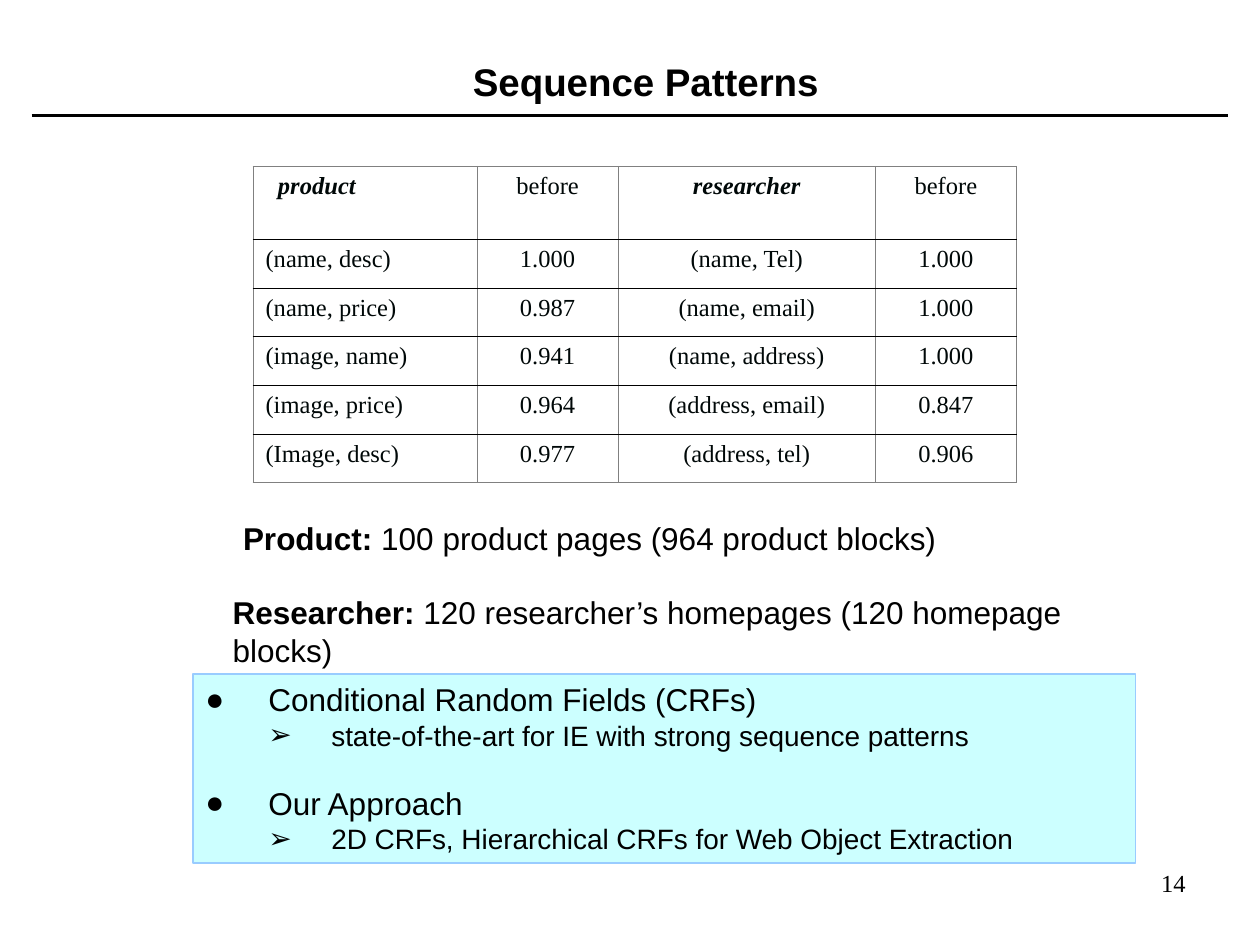
from dataclasses import dataclass
from typing import Optional

from lxml.etree import SubElement
from pptx import Presentation
from pptx.dml.color import RGBColor as Color
from pptx.enum.shapes import MSO_CONNECTOR as Connector, MSO_SHAPE as Preset
from pptx.enum.text import MSO_ANCHOR as Anchor, PP_ALIGN as Align
from pptx.oxml.ns import qn
from pptx.util import Cm, Pt


@dataclass(frozen=True)
class Theme:
    sans: str = "Arial"
    serif: str = "Times New Roman"
    black: str = "000000"
    table_ink: str = "000808"
    grid: str = "808080"
    panel: str = "CCFFFF"
    panel_edge: str = "99CCFF"
    title_size: float = 22
    body_size: float = 18
    detail_size: float = 16
    small_size: float = 14


@dataclass(frozen=True)
class Box:
    left: float
    top: float
    width: float
    height: float

    def lengths(self) -> tuple:
        return Cm(self.left), Cm(self.top), Cm(self.width), Cm(self.height)


@dataclass(frozen=True)
class Note:
    label: str
    detail: str
    box: Box


@dataclass(frozen=True)
class Topic:
    heading: str
    detail: str
    space_before: float = 0


THEME = Theme()
COLUMN_WIDTHS = (4.52, 2.84, 5.19, 2.84)
HEADER_HEIGHT, ROW_HEIGHT = 1.47, 0.98
TABLE_BOX = Box(5.1, 3.36, sum(COLUMN_WIDTHS), HEADER_HEIGHT + 5 * ROW_HEIGHT)
TABLE_ROWS = (
    ("product", "before", "researcher", "before"),
    ("(name, desc)", "1.000", "(name, Tel)", "1.000"),
    ("(name, price)", "0.987", "(name, email)", "1.000"),
    ("(image, name)", "0.941", "(name, address)", "1.000"),
    ("(image, price)", "0.964", "(address, email)", "0.847"),
    ("(Image, desc)", "0.977", "(address, tel)", "0.906"),
)
NOTES = (
    Note("Product:", " 100 product pages (964 product blocks)", Box(4.65, 10.34, 14.6, 1.02)),
    Note("Researcher:", " 120 researcher’s homepages (120 homepage blocks)",
         Box(4.44, 11.84, 19.2, 1.02)),
)
TOPICS = (
    Topic("Conditional Random Fields (CRFs)",
          "state-of-the-art for IE with strong sequence patterns"),
    Topic("Our Approach", "2D CRFs, Hierarchical CRFs for Web Object Extraction", 18.4),
)


def add_text(paragraph, text: str, *, size: float, font: str = THEME.sans,
             color: str = THEME.black, bold: bool = False, italic: bool = False,
             align: Align = Align.LEFT) -> None:
    paragraph.alignment = align
    run = paragraph.add_run()
    run.text = text
    run.font.name = font
    run.font.size = Pt(size)
    run.font.bold = bold
    run.font.italic = italic
    run.font.color.rgb = Color.from_string(color)


def set_indent(paragraph, margin: float, first_line: float = 0) -> None:
    properties = paragraph._p.get_or_add_pPr()
    properties.set("marL", str(Cm(margin)))
    properties.set("indent", str(Cm(first_line)))


def add_bullet(paragraph, symbol: str, level: int) -> None:
    paragraph.level = level
    set_indent(paragraph, 1.27 * (level + 1), -1.27)
    properties = paragraph._p.get_or_add_pPr()
    bullet_color = SubElement(properties, qn("a:buClr"))
    SubElement(bullet_color, qn("a:srgbClr"), val=THEME.black)
    SubElement(properties, qn("a:buFont"), typeface=THEME.sans)
    SubElement(properties, qn("a:buChar"), char=symbol)


def add_text_box(slide, box: Box, anchor: Anchor = Anchor.TOP):
    frame = slide.shapes.add_textbox(*box.lengths()).text_frame
    frame.word_wrap = True
    frame.vertical_anchor = anchor
    return frame.paragraphs[0]


def add_rule(slide, left: float, right: float, top: float) -> None:
    rule = slide.shapes.add_connector(Connector.STRAIGHT, Cm(left), Cm(top), Cm(right), Cm(top))
    rule.line.color.rgb = Color.from_string(THEME.black)
    rule.line.width = Pt(1.5)
    SubElement(rule._element.spPr, qn("a:effectLst"))


def add_border(cell, side: str, color: str, width: float) -> None:
    border = SubElement(cell._tc.get_or_add_tcPr(), qn(f"a:ln{side}"), w=str(Pt(width)))
    fill = SubElement(border, qn("a:solidFill"))
    SubElement(fill, qn("a:srgbClr"), val=color)


def add_pattern_table(slide) -> None:
    last_row = len(TABLE_ROWS) - 1
    table = slide.shapes.add_table(len(TABLE_ROWS), len(COLUMN_WIDTHS), *TABLE_BOX.lengths()).table
    table.first_row = table.horz_banding = False
    for column, width in zip(table.columns, COLUMN_WIDTHS):
        column.width = Cm(width)
    outer, inner = (THEME.grid, 0.96), (THEME.black, 0.45)
    for row_index, values in enumerate(TABLE_ROWS):
        is_header = row_index == 0
        table.rows[row_index].height = Cm(HEADER_HEIGHT if is_header else ROW_HEIGHT)
        for column_index, value in enumerate(values):
            cell = table.cell(row_index, column_index)
            is_name = is_header and column_index % 2 == 0
            paragraph = cell.text_frame.paragraphs[0]
            add_text(paragraph, value, size=THEME.small_size, font=THEME.serif,
                     color=THEME.table_ink, bold=is_name, italic=is_name,
                     align=Align.CENTER if column_index else Align.LEFT)
            if is_header and column_index == 0:
                set_indent(paragraph, 0.25)
            add_border(cell, "L", THEME.grid, 0.45)
            add_border(cell, "R", THEME.grid, 0.45)
            add_border(cell, "T", *(outer if is_header else inner))
            add_border(cell, "B", *(outer if row_index == last_row else inner))
            cell.fill.background()


def add_topic_panel(slide, box: Box) -> None:
    panel = slide.shapes.add_shape(Preset.RECTANGLE, *box.lengths())
    panel.shadow.inherit = False
    panel.fill.solid()
    panel.fill.fore_color.rgb = Color.from_string(THEME.panel)
    panel.line.color.rgb = Color.from_string(THEME.panel_edge)
    panel.line.width = Pt(0.75)
    frame = panel.text_frame
    frame.word_wrap = True
    frame.vertical_anchor = Anchor.TOP
    paragraph: Optional[object] = frame.paragraphs[0]
    for topic in TOPICS:
        heading = paragraph or frame.add_paragraph()
        paragraph = None
        if topic.space_before:
            heading.space_before = Pt(topic.space_before)
        add_bullet(heading, "●", 0)
        add_text(heading, topic.heading, size=THEME.body_size)
        detail = frame.add_paragraph()
        add_bullet(detail, "➢", 1)
        add_text(detail, topic.detail, size=THEME.detail_size)


def main() -> None:
    presentation = Presentation()
    presentation.slide_width, presentation.slide_height = Cm(25.4), Cm(19.05)
    slide = presentation.slides.add_slide(presentation.slide_layouts[6])
    add_rule(slide, 0.64, 24.76, 2.33)
    title = add_text_box(slide, Box(1.27, 0.43, 23.5, 2.41), Anchor.MIDDLE)
    add_text(title, "Sequence Patterns", size=THEME.title_size, bold=True, align=Align.CENTER)
    add_pattern_table(slide)
    for note in NOTES:
        paragraph = add_text_box(slide, note.box)
        add_text(paragraph, note.label, size=THEME.body_size, bold=True)
        add_text(paragraph, note.detail, size=THEME.body_size)
    add_topic_panel(slide, Box(3.89, 13.59, 19, 3.81))
    number = add_text_box(slide, Box(18.87, 17.37, 5.28, 1.27))
    add_text(number, "14", size=THEME.small_size, font=THEME.serif, align=Align.RIGHT)
    presentation.save("out.pptx")


if __name__ == "__main__":
    main()
